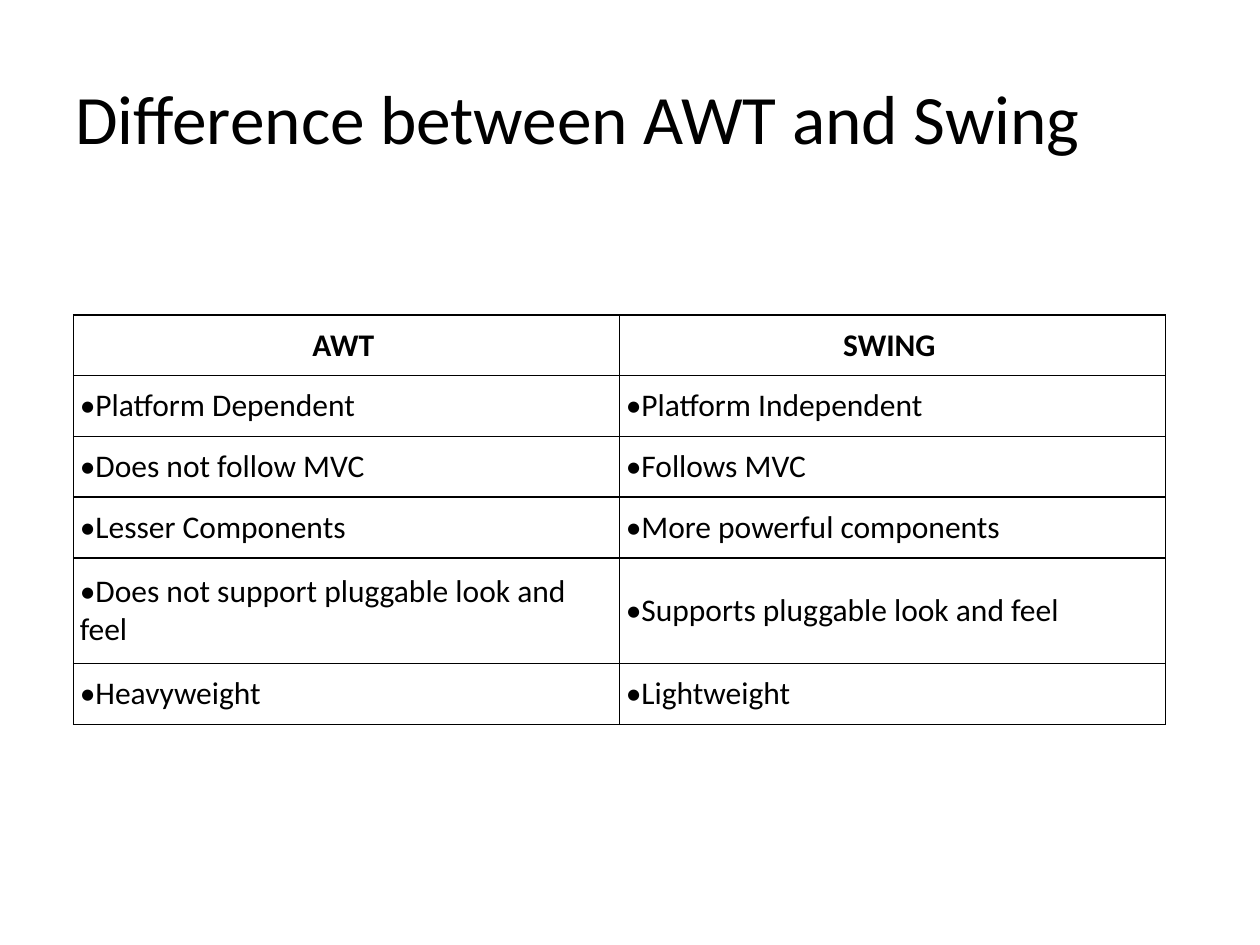
from lxml import etree
from pptx import Presentation
from pptx.dml.color import RGBColor
from pptx.enum.text import MSO_ANCHOR, PP_ALIGN
from pptx.oxml.ns import qn
from pptx.util import Inches, Pt

LEFT, CENTER = PP_ALIGN.LEFT, PP_ALIGN.CENTER
MIDDLE = MSO_ANCHOR.MIDDLE
INK, FONT = "000000", "Calibri"
ROWS = [
    ("AWT", "SWING"),
    ("Platform Dependent", "Platform Independent"),
    ("Does not follow MVC", "Follows MVC"),
    ("Lesser Components", "More powerful components"),
    ("Does not support pluggable look and feel", "Supports pluggable look and feel"),
    ("Heavyweight", "Lightweight"),
]
HIGH, TALL = Inches(3.25), Inches(0.84)
ROW = (HIGH - TALL) // 5
COL = Inches(13 / 3)


def write(frame, text, size, bold=False, align=LEFT, bullet=None):
    para = frame.paragraphs[0]
    para.alignment = align
    if bullet:
        props = para._p.get_or_add_pPr()
        props.set("marL", "0")
        props.set("indent", "0")
        etree.SubElement(props, qn("a:buFont"), typeface=FONT)
        etree.SubElement(props, qn("a:buChar"), char=bullet)
    run = para.add_run()
    run.text = text
    run.font.name = FONT
    run.font.size = Pt(size)
    run.font.bold = bold
    run.font.color.rgb = RGBColor.from_string(INK)


def border(cell, color, width):
    """Draw all four edges; call before the cell is filled."""
    props = cell._tc.get_or_add_tcPr()
    for edge in ("a:lnL", "a:lnR", "a:lnT", "a:lnB"):
        line = etree.SubElement(props, qn(edge), w=str(Pt(width)))
        fill = etree.SubElement(line, qn("a:solidFill"))
        etree.SubElement(fill, qn("a:srgbClr"), val=color)


deck = Presentation()
deck.slide_width, deck.slide_height = Inches(10), Inches(7.5)
slide = deck.slides.add_slide(deck.slide_layouts[6])

title = slide.shapes.add_textbox(Inches(0.5), Inches(0.3), Inches(9), Inches(1.25))
title.text_frame.word_wrap = True
title.text_frame.vertical_anchor = MIDDLE
write(title.text_frame, "Difference between AWT and Swing", 39.6)

table = slide.shapes.add_table(
    len(ROWS), 2, Inches(7 / 12), Inches(2.5), 2 * COL, HIGH
).table
table.first_row = table.horz_banding = False
for col in table.columns:
    col.width = COL

for r, texts in enumerate(ROWS):
    table.rows[r].height = TALL if r == 4 else ROW
    head = r == 0
    for c, text in enumerate(texts):
        cell = table.cell(r, c)
        cell.margin_left = cell.margin_top = cell.margin_bottom = Inches(0.05)
        cell.margin_right = Inches(0.1)
        cell.vertical_anchor = MIDDLE
        border(cell, INK, 1)
        cell.fill.background()
        write(cell.text_frame, text, 18, bold=head,
              align=CENTER if head else LEFT, bullet=None if head else "•")

deck.save("out.pptx")
